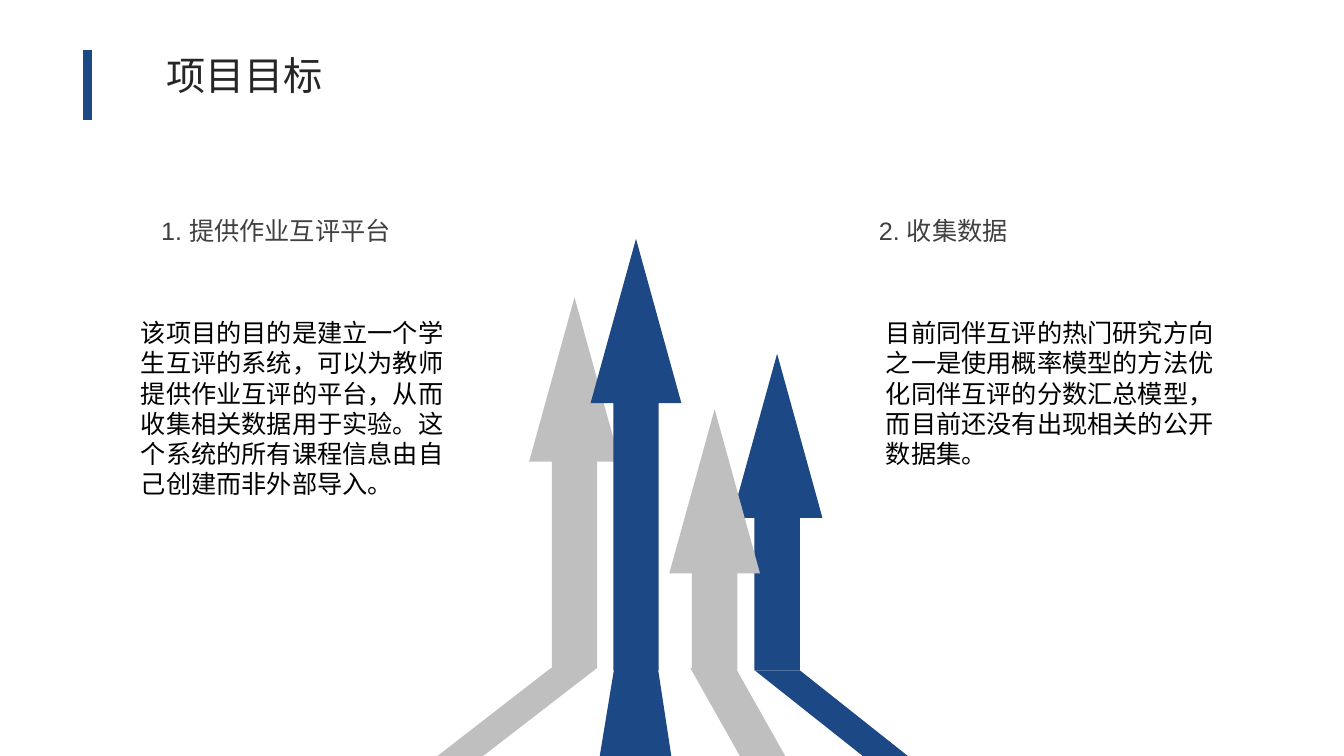
import pptx
import pptx.dml.color
import pptx.enum.shapes
import pptx.enum.text
import pptx.oxml
import pptx.oxml.ns
import pptx.util

Pt = pptx.util.Pt
RGBColor = pptx.dml.color.RGBColor
BLUE = RGBColor(0x1C, 0x48, 0x85)
GREY = RGBColor(0xBF, 0xBF, 0xBF)
TITLE_INK = RGBColor(0x26, 0x26, 0x26)
HEADING_INK = RGBColor(0x40, 0x40, 0x40)
BODY_INK = RGBColor(0, 0, 0)

SLIDE_WIDTH, SLIDE_HEIGHT = 960, 540
ARROW_WIDTH = 64.8


def add_text(slide, box, wording, size, ink, align=pptx.enum.text.PP_ALIGN.LEFT):
    frame = slide.shapes.add_textbox(*map(Pt, box)).text_frame
    frame.word_wrap = True
    frame.auto_size = pptx.enum.text.MSO_AUTO_SIZE.SHAPE_TO_FIT_TEXT
    paragraph = frame.paragraphs[0]
    paragraph.alignment = align
    run = paragraph.add_run()
    run.text = wording
    run.font.name = "Arial"
    run.font.size = Pt(size)
    run.font.color.rgb = ink


def paint(shape, colour):
    shape.shadow.inherit = False
    shape.fill.solid()
    shape.fill.fore_color.rgb = colour
    shape.line.fill.background()


def add_title(slide, box, wording):
    left, top, width, height = box
    add_text(slide, box, wording, 28, TITLE_INK, pptx.enum.text.PP_ALIGN.CENTER)
    accent = slide.shapes.add_connector(
        pptx.enum.shapes.MSO_CONNECTOR.STRAIGHT,
        Pt(left), Pt(top + 2.9), Pt(left), Pt(top + 52.6))
    accent.line.color.rgb = BLUE
    accent.line.width = Pt(6)
    properties = accent._element.spPr
    properties.append(pptx.oxml.parse_xml(
        "<a:effectLst %s/>" % pptx.oxml.ns.nsdecls("a")))


def add_arrow(slide, box, colour):
    arrow = slide.shapes.add_shape(
        pptx.enum.shapes.MSO_SHAPE.UP_ARROW, *map(Pt, box))
    arrow.adjustments[0] = 0.5
    arrow.adjustments[1] = 1.81
    paint(arrow, colour)


def add_root(slide, top, upper, lower, bottom, colour):
    corners = [(upper[0], top), (upper[1], top), (lower[1], bottom), (lower[0], bottom)]
    corners = [(Pt(x), Pt(y)) for x, y in corners]
    builder = slide.shapes.build_freeform(*corners[0], scale=1.0)
    builder.add_line_segments(corners[1:], close=True)
    paint(builder.convert_to_shape(), colour)


def add_growth_arrows(slide, box):
    left, top, width, height = box
    arrows = [
        (65.5, 41.8, 265, GREY),
        (210.2, 82.1, 226.1, BLUE),
        (165.6, 121.7, 186.5, GREY),
        (109.4, 0, 308.2, BLUE),
    ]
    for x, y, length, colour in arrows:
        add_arrow(slide, (left + x, top + y, ARROW_WIDTH, length), colour)

    roots = [
        (306.7, (80.9, 113.8), (0, 32.6), GREY),
        (308.2, (226.6, 258.8), (303.8, 336), BLUE),
        (303.8, (126.7, 157), (115.9, 167), BLUE),
        (306.7, (180.7, 213.1), (216, 248.4), GREY),
    ]
    for y, upper, lower, colour in roots:
        add_root(slide, top + y, [left + x for x in upper],
                 [left + x for x in lower], top + height, colour)


def add_goal(slide, box, heading, heading_shift, heading_width, description):
    left, top, width, height = box
    add_text(slide, (left + heading_shift, top, heading_width, 29),
             heading, 18, HEADING_INK)
    add_text(slide, (left, top + 72.7, width, height - 72.7),
             description, 18, BODY_INK)


def main():
    deck = pptx.Presentation()
    deck.slide_width, deck.slide_height = Pt(SLIDE_WIDTH), Pt(SLIDE_HEIGHT)
    slide = deck.slides.add_slide(deck.slide_layouts[6])
    add_title(slide, (62.6, 33.1, 223.9, 41), "项目目标")
    add_growth_arrows(slide, (312.5, 170.6, 336, SLIDE_HEIGHT - 170.6))
    add_goal(slide, (93.6, 150.5, 239.8, 211), "1. 提供作业互评平台", 14.4, 218.2,
             "该项目的目的是建立一个学生互评的系统，可以为教师提供作业互评的平台，"
             "从而收集相关数据用于实验。这个系统的所有课程信息由自己创建而非外部导入。")
    add_goal(slide, (625.7, 150.5, 248.4, 189.3), "2. 收集数据", -5, 175,
             "目前同伴互评的热门研究方向之一是使用概率模型的方法优化同伴互评的"
             "分数汇总模型，而目前还没有出现相关的公开数据集。")
    deck.save("out.pptx")


if __name__ == "__main__":
    main()
